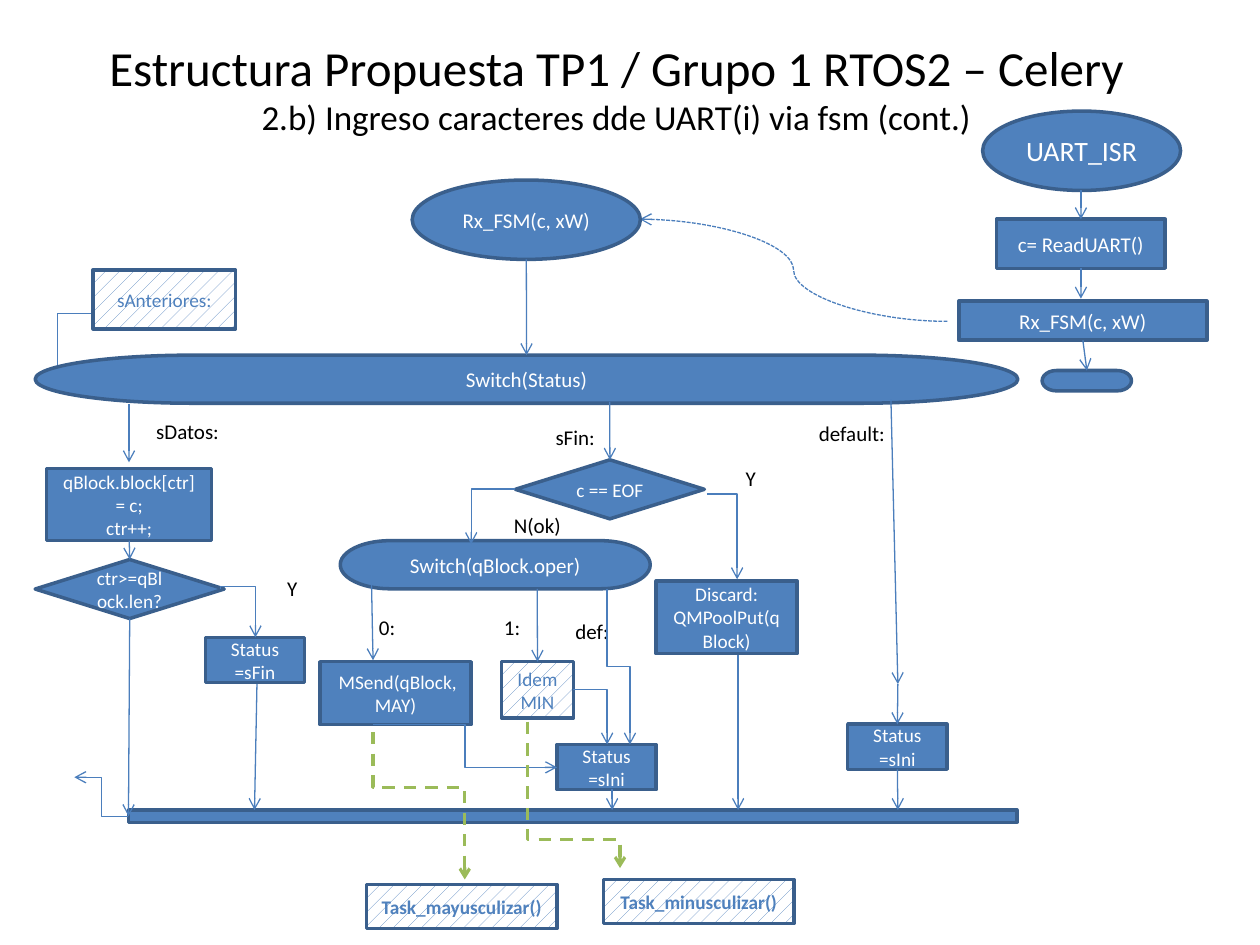
from lxml import etree
from pptx import Presentation
from pptx import util as u
from pptx.dml.color import RGBColor
from pptx.enum import dml, shapes, text
from pptx.oxml.ns import qn

BLUE, OUTLINE, LINK, GREEN = "4F81BD", "3A5F8C", "4B7EBC", "9BBB59"
WHITE, BLACK = "FFFFFF", "000000"
FONT = "Calibri"
TOP, LEFT, BOTTOM = 0, 1, 2
PRESET = shapes.MSO_SHAPE
KIND = shapes.MSO_CONNECTOR
STATUS_SIZE = (2, 0.91)
DECISION_SIZE = (3.81, 1.19)
TASK_SIZE = (3.84, 0.89)


def paint(color_format, value):
    color_format.rgb = RGBColor.from_string(value)


def set_font(font, size, color, bold=None):
    font.name, font.size, font.bold = FONT, u.Pt(size), bold
    paint(font.color, color)


def add_title(slide, main_line, second_line):
    title = slide.shapes.title
    title.left, title.top, title.width, title.height = map(u.Cm, (1.63, -0.28, 21.59, 4.09))
    frame = title.text_frame
    frame.auto_size = text.MSO_AUTO_SIZE.NONE
    frame.vertical_anchor = text.MSO_ANCHOR.MIDDLE
    paragraph = frame.paragraphs[0]
    paragraph.alignment = text.PP_ALIGN.CENTER
    for index, (words, size) in enumerate(((main_line, 28), (second_line, 20))):
        if index:
            paragraph.add_line_break()
        run = paragraph.add_run()
        run.text = words
        set_font(run.font, size, BLACK)


def add_node(slide, preset, words, left, top, width, height, size=11, hatched=False, bold=None):
    """Add a flowchart block; a hatched one has a pattern fill and blue text."""
    shape = slide.shapes.add_shape(preset, *map(u.Cm, (left, top, width, height)))
    shape.shadow.inherit = False
    if hatched:
        shape.fill.patterned()
        shape.fill.pattern = dml.MSO_PATTERN.PERCENT_10
        paint(shape.fill.fore_color, BLUE)
        paint(shape.fill.back_color, WHITE)
    else:
        shape.fill.solid()
        paint(shape.fill.fore_color, BLUE)
    paint(shape.line.color, OUTLINE)
    shape.line.width = u.Pt(2)
    if words:
        frame = shape.text_frame
        frame.text = words
        frame.vertical_anchor = text.MSO_ANCHOR.MIDDLE
        for paragraph in frame.paragraphs:
            paragraph.alignment = text.PP_ALIGN.CENTER
            set_font(paragraph.font, size, BLUE if hatched else WHITE, bold)
    return shape


def add_label(slide, words, left, top, width):
    box = slide.shapes.add_textbox(*map(u.Cm, (left, top, width, 0.76)))
    frame = box.text_frame
    frame.word_wrap = True
    frame.auto_size = text.MSO_AUTO_SIZE.SHAPE_TO_FIT_TEXT
    frame.text = words
    set_font(frame.paragraphs[0].font, 12, BLACK)


def add_arrow(slide, start, end, kind=KIND.STRAIGHT, color=LINK, width=0.75, dash=None,
              begin=None, finish=None):
    """Draw an arrow; begin and finish are optional (shape, side) joints."""
    connector = slide.shapes.add_connector(kind, *map(u.Cm, (*start, *end)))
    if begin:
        connector.begin_connect(*begin)
    if finish:
        connector.end_connect(*finish)
    paint(connector.line.color, color)
    connector.line.width = u.Pt(width)
    if dash:
        connector.line.dash_style = dash
    properties = connector.element.spPr
    etree.SubElement(properties.find(qn("a:ln")), qn("a:tailEnd"), type="arrow")
    etree.SubElement(properties, qn("a:effectLst"))
    return connector


def bend(connector, preset, *adjustments):
    geometry = connector.element.spPr.find(qn("a:prstGeom"))
    geometry.set("prst", preset)
    guides = geometry.find(qn("a:avLst"))
    for number, value in enumerate(adjustments, 1):
        etree.SubElement(guides, qn("a:gd"), name=f"adj{number}",
                         fmla=f"val {round(value * 100000)}")


def add_elbow(slide, start, end, preset, *adjustments):
    bend(add_arrow(slide, start, end, KIND.ELBOW), preset, *adjustments)


def add_down_elbow(slide, start, end, adjustment=0.5, **style):
    """Elbow that leaves downwards, steps right and arrives downwards."""
    across, down = end[0] - start[0], end[1] - start[1]
    left = (start[0] + end[0] - down) / 2
    top = (start[1] + end[1] - across) / 2
    connector = add_arrow(slide, (left, top), (left + down, top + across), KIND.ELBOW, **style)
    frame = connector.element.spPr.find(qn("a:xfrm"))
    frame.set("rot", str(270 * 60000))
    frame.set("flipH", "1")
    bend(connector, "bentConnector3", adjustment)


def add_interrupt_routine(slide):
    add_node(slide, PRESET.FLOWCHART_CONNECTOR, "UART_ISR", 19.81, 2.24, 3.99, 1.6, 16)
    read = add_node(slide, PRESET.FLOWCHART_PROCESS, "c= ReadUART()", 20.09, 4.42, 3.4, 0.99, 12)
    call = add_node(slide, PRESET.FLOWCHART_PROCESS, "Rx_FSM(c, xW)", 19.33, 6.07, 5, 0.79, 12)
    stop = add_node(slide, PRESET.FLOWCHART_TERMINATOR, "", 21.01, 7.47, 1.8, 0.41)
    add_arrow(slide, (21.79, 3.84), (21.79, 4.42), finish=(read, TOP))
    add_arrow(slide, (21.79, 5.41), (21.79, 6.02), begin=(read, BOTTOM))
    add_arrow(slide, (21.87, 6.86), (21.87, 7.47), begin=(call, BOTTOM), finish=(stop, TOP))
    add_arrow(slide, (19.1, 6.48), (12.9, 4.42), KIND.CURVE, dash=dml.MSO_LINE.SQUARE_DOT)


def add_state_switch(slide):
    add_elbow(slide, (1.8, 7.7), (2.06, 5.41), "bentConnector4", -2.465, 0.605)
    add_node(slide, PRESET.RECTANGLE, "sAnteriores:", 1.88, 5.44, 2.87, 1.19, hatched=True)
    add_node(slide, PRESET.FLOWCHART_CONNECTOR, "Rx_FSM(c, xW)", 8.31, 3.63, 4.6, 1.6, 12)
    switch = add_node(slide, PRESET.FLOWCHART_TERMINATOR, "Switch(Status)",
                      0.71, 7.16, 19.81, 0.97, 12)
    add_arrow(slide, (10.61, 5.23), (10.61, 7.16), finish=(switch, TOP))


def add_data_branch(slide, bar):
    add_label(slide, "sDatos:", 2.9, 8.31, 1.85)
    store = add_node(slide, PRESET.RECTANGLE, "qBlock.block[ctr] = c;\nctr++;",
                     0.94, 9.45, 3.33, 1.45)
    full = add_node(slide, PRESET.FLOWCHART_DECISION, "ctr>=qBlock.len?",
                    0.71, 11.28, *DECISION_SIZE)
    add_node(slide, PRESET.RECTANGLE, "Status =sFin", 4.14, 12.85, *STATUS_SIZE)
    add_label(slide, "Y", 5.54, 11.48, 0.56)
    add_arrow(slide, (2.6, 8.15), (2.6, 9.32))
    add_arrow(slide, (2.6, 10.9), (2.6, 11.28), begin=(store, BOTTOM), finish=(full, TOP))
    add_arrow(slide, (2.6, 12.47), (2.59, 16.46), begin=(full, BOTTOM), finish=(bar, LEFT))
    add_down_elbow(slide, (4.45, 11.88), (5.15, 12.85), -0.058)
    add_arrow(slide, (5.18, 13.79), (5.13, 16.33))
    add_elbow(slide, (2.59, 16.46), (1.5, 15.67), "bentConnector3", 0.5)


def add_end_branch(slide):
    add_label(slide, "sFin:", 10.95, 8.43, 1.75)
    end_test = add_node(slide, PRESET.FLOWCHART_DECISION, "c == EOF", 10.39, 9.27, *DECISION_SIZE)
    add_arrow(slide, (12.29, 8.1), (12.29, 9.27), finish=(end_test, TOP))
    add_label(slide, "Y", 14.78, 9.27, 0.56)
    add_node(slide, PRESET.RECTANGLE, "Discard: QMPoolPut(qBlock)", 13.23, 11.71, 2.84, 1.47)
    add_elbow(slide, (14.25, 9.96), (14.86, 11.68), "bentConnector2")
    add_arrow(slide, (14.88, 13.21), (14.88, 16.33))
    add_label(slide, "N(ok)", 10.11, 10.21, 2.01)
    add_node(slide, PRESET.FLOWCHART_TERMINATOR, "Switch(qBlock.oper)", 6.86, 10.9, 6.25, 0.97, 12)
    add_elbow(slide, (10.39, 9.86), (9.5, 10.97), "bentConnector2")


def add_operation_cases(slide):
    for words, left, top, width in (("0:", 7.39, 12.27, 0.97), ("1:", 9.91, 12.27, 0.97),
                                    ("def:", 11.35, 12.34, 1.73)):
        add_label(slide, words, left, top, width)
    add_node(slide, PRESET.RECTANGLE, " MSend(qBlock, MAY)", 6.45, 13.34, 3.05, 1.27)
    same = add_node(slide, PRESET.RECTANGLE, "Idem MIN", 10.11, 13.34, 1.45, 1.14, hatched=True)
    add_node(slide, PRESET.RECTANGLE, "Status =sIni", 11.23, 15.01, *STATUS_SIZE)
    add_arrow(slide, (7.49, 11.79), (7.52, 13.31))
    add_arrow(slide, (10.83, 11.87), (10.83, 13.34), finish=(same, TOP))
    add_elbow(slide, (7.52, 14.61), (11.23, 15.47), "bentConnector3", 0.5)
    add_elbow(slide, (11.56, 13.9), (12.24, 15.01), "bentConnector2")
    add_down_elbow(slide, (12.24, 11.87), (12.7, 15.01))
    add_arrow(slide, (12.34, 15.9), (12.34, 16.33))


def add_default_branch(slide):
    add_label(slide, "default:", 16.26, 8.36, 1.85)
    status = add_node(slide, PRESET.RECTANGLE, "Status =sIni", 17.09, 14.6, *STATUS_SIZE)
    add_arrow(slide, (17.96, 8.05), (18.1, 13.79))
    add_arrow(slide, (18.1, 13.79), (18.1, 14.6), finish=(status, TOP))
    add_arrow(slide, (18.1, 15.51), (18.1, 16.33), begin=(status, BOTTOM))


def add_tasks(slide):
    dashed = dict(color=GREEN, width=1.75, dash=dml.MSO_LINE.DASH)
    for words, left, top, start, end, adjustment in (
            ("Task_mayusculizar()", 7.39, 17.83, (7.52, 14.76), (9.37, 17.73), 0.375),
            ("Task_minusculizar()", 12.17, 17.73, (10.64, 14.55), (12.5, 17.5), 0.808)):
        add_node(slide, PRESET.RECTANGLE, words, left, top, *TASK_SIZE, hatched=True, bold=True)
        add_down_elbow(slide, start, end, adjustment, **dashed)


def main():
    presentation = Presentation()
    presentation.slide_width, presentation.slide_height = u.Cm(25.4), u.Cm(19.05)
    slide = presentation.slides.add_slide(presentation.slide_layouts[5])
    add_title(slide, "Estructura Propuesta TP1 / Grupo 1 RTOS2 – Celery",
              "2.b) Ingreso caracteres dde UART(i) via fsm (cont.)")
    add_interrupt_routine(slide)
    add_state_switch(slide)
    bar = add_node(slide, PRESET.RECTANGLE, "", 2.59, 16.33, 17.91, 0.25)
    add_data_branch(slide, bar)
    add_end_branch(slide)
    add_operation_cases(slide)
    add_default_branch(slide)
    add_tasks(slide)
    presentation.save("out.pptx")


if __name__ == "__main__":
    main()
